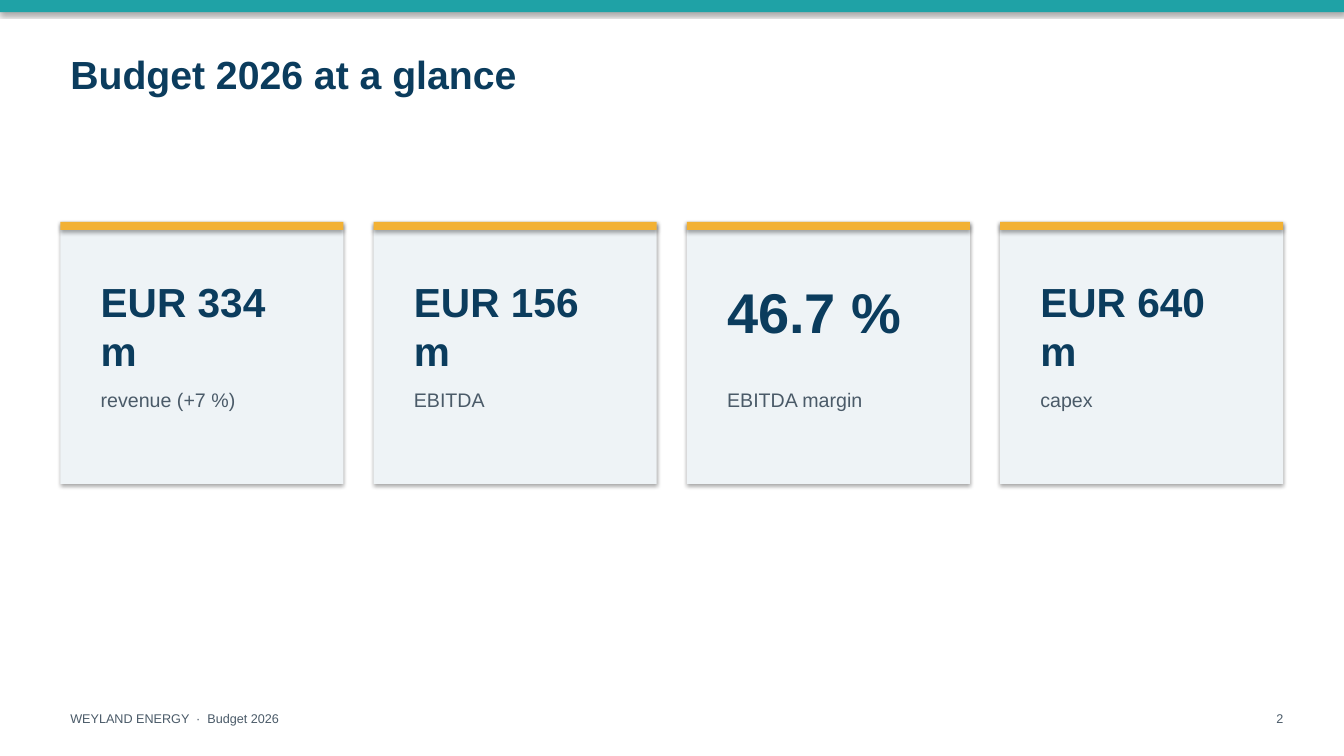
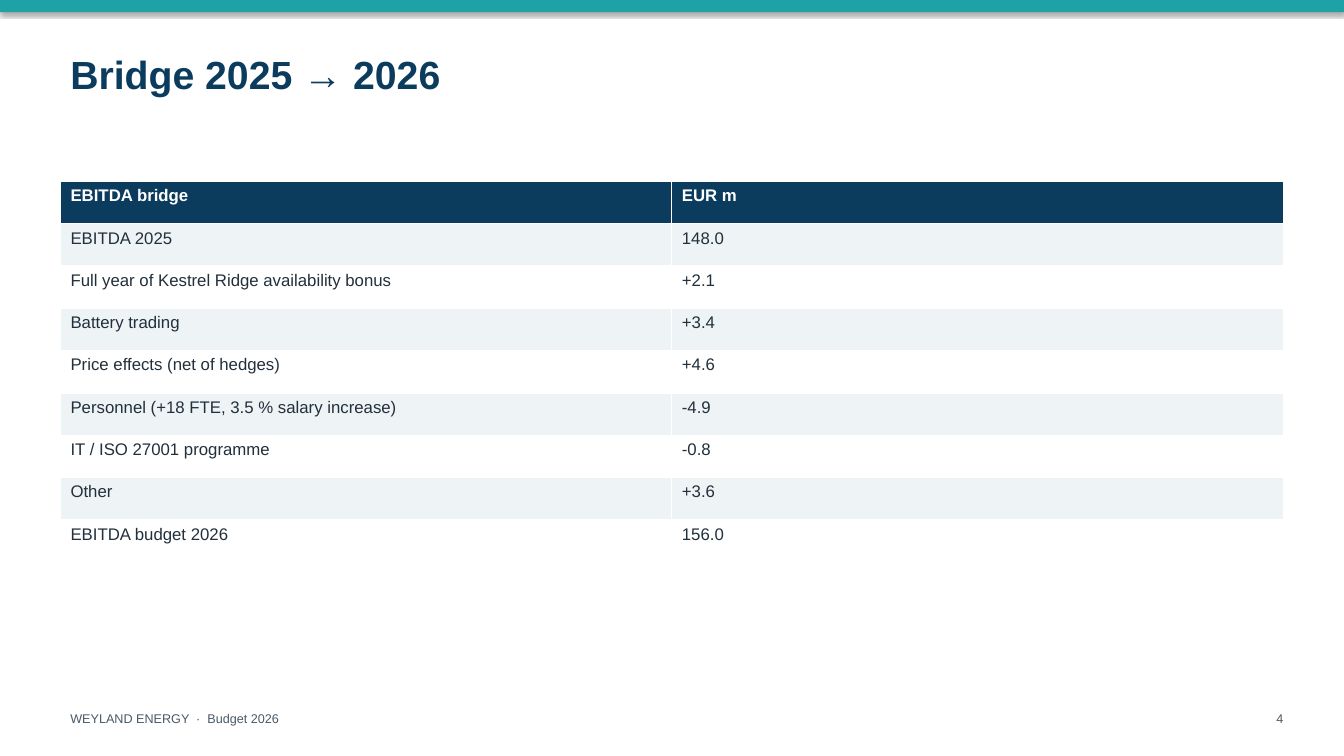
from dataclasses import dataclass

from pptx import Presentation
from pptx import util as u
from pptx.dml.color import RGBColor
from pptx.enum import shapes, text

# Shared look: 100 px to the inch
EMU_PER_PX = 9144
PAGE_WIDTH, PAGE_HEIGHT = 1333.33, 750
MARGIN, CONTENT_WIDTH = 60, 1213
FONT = "Arial"
TEAL, NAVY, AMBER = "1FA2A6", "0B3C5D", "F2B134"
PALE, WHITE, INK, GREY = "EEF3F6", "FFFFFF", "22303C", "4A5A68"
FOOTER = "WEYLAND ENERGY  ·  Budget 2026"

# Card grid
CARD_TOP, CARD_HEIGHT, CARD_GAP, CARD_PADDING = 220, 260, 30, 30
ROW_HEIGHT = 42


@dataclass
class Card:
    value: str
    label: str
    size: int = 29
    value_height: int = 107


CARDS = [
    Card("EUR 334 m", "revenue (+7 %)"),
    Card("EUR 156 m", "EBITDA"),
    Card("46.7 %", "EBITDA margin", size=40, value_height=77),
    Card("EUR 640 m", "capex"),
]

BRIDGE = [
    ("EBITDA bridge", "EUR m"),
    ("EBITDA 2025", "148.0"),
    ("Full year of Kestrel Ridge availability bonus", "+2.1"),
    ("Battery trading", "+3.4"),
    ("Price effects (net of hedges)", "+4.6"),
    ("Personnel (+18 FTE, 3.5 % salary increase)", "-4.9"),
    ("IT / ISO 27001 programme", "-0.8"),
    ("Other", "+3.6"),
    ("EBITDA budget 2026", "156.0"),
]


def px(length: float) -> u.Emu:
    return u.Emu(round(length * EMU_PER_PX))


def paint(fill, color: str) -> None:
    fill.solid()
    fill.fore_color.rgb = RGBColor.from_string(color)


def write(frame, words: str, size: int, color: str, bold: bool = False):
    para = frame.paragraphs[0]
    para.text = words
    para.font.name = FONT
    para.font.size = u.Pt(size)
    para.font.bold = bold
    para.font.color.rgb = RGBColor.from_string(color)
    return para


def add_block(page, left: float, top: float, width: float, height: float, color: str) -> None:
    block = page.shapes.add_shape(
        shapes.MSO_SHAPE.RECTANGLE, px(left), px(top), px(width), px(height))
    paint(block.fill, color)
    block.line.fill.background()
    block.shadow.inherit = True  # the theme's soft drop shadow


def add_text(page, left: float, top: float, width: float, height: float,
             words: str, size: int, color: str, bold: bool = False):
    box = page.shapes.add_textbox(px(left), px(top), px(width), px(height))
    frame = box.text_frame
    frame.word_wrap = True
    frame.auto_size = text.MSO_AUTO_SIZE.SHAPE_TO_FIT_TEXT
    return write(frame, words, size, color, bold)


def add_page(deck, title: str, number: int):
    page = deck.slides.add_slide(deck.slide_layouts[6])
    add_block(page, 0, 0, PAGE_WIDTH, 12, TEAL)
    add_text(page, MARGIN, 45, 1200, 57, title, 28, NAVY, bold=True)
    add_text(page, MARGIN, 700, 800, 25, FOOTER, 9, GREY)
    para = add_text(page, 1213, 700, 70, 25, str(number), 9, GREY)
    para.alignment = text.PP_ALIGN.RIGHT
    return page


def add_cards(page, cards: list[Card]) -> None:
    width = (CONTENT_WIDTH - CARD_GAP * (len(cards) - 1)) / len(cards)
    inner_width = width - 2 * CARD_PADDING
    for index, card in enumerate(cards):
        left = MARGIN + index * (width + CARD_GAP)
        inner_left = left + CARD_PADDING
        add_block(page, left, CARD_TOP, width, CARD_HEIGHT, PALE)
        add_block(page, left, CARD_TOP, width, 8, AMBER)
        add_text(page, inner_left, CARD_TOP + 50, inner_width, card.value_height,
                 card.value, card.size, NAVY, bold=True)
        add_text(page, inner_left, CARD_TOP + 160, inner_width, 33, card.label, 14, GREY)


def add_bridge_table(page, rows: list[tuple[str, str]]) -> None:
    table = page.shapes.add_table(
        len(rows), len(rows[0]), px(MARGIN), px(180),
        px(CONTENT_WIDTH), px(ROW_HEIGHT * len(rows))).table
    for row_index, row in enumerate(rows):
        header = row_index == 0
        fill = NAVY if header else PALE if row_index % 2 else WHITE
        for column_index, words in enumerate(row):
            cell = table.cell(row_index, column_index)
            paint(cell.fill, fill)
            write(cell.text_frame, words, 12, WHITE if header else INK, bold=header)


def main() -> None:
    deck = Presentation()
    deck.slide_width, deck.slide_height = px(PAGE_WIDTH), px(PAGE_HEIGHT)

    # Key figures
    add_cards(add_page(deck, "Budget 2026 at a glance", 2), CARDS)

    # EBITDA bridge
    add_bridge_table(add_page(deck, "Bridge 2025 → 2026", 4), BRIDGE)

    deck.save("out.pptx")


if __name__ == "__main__":
    main()
